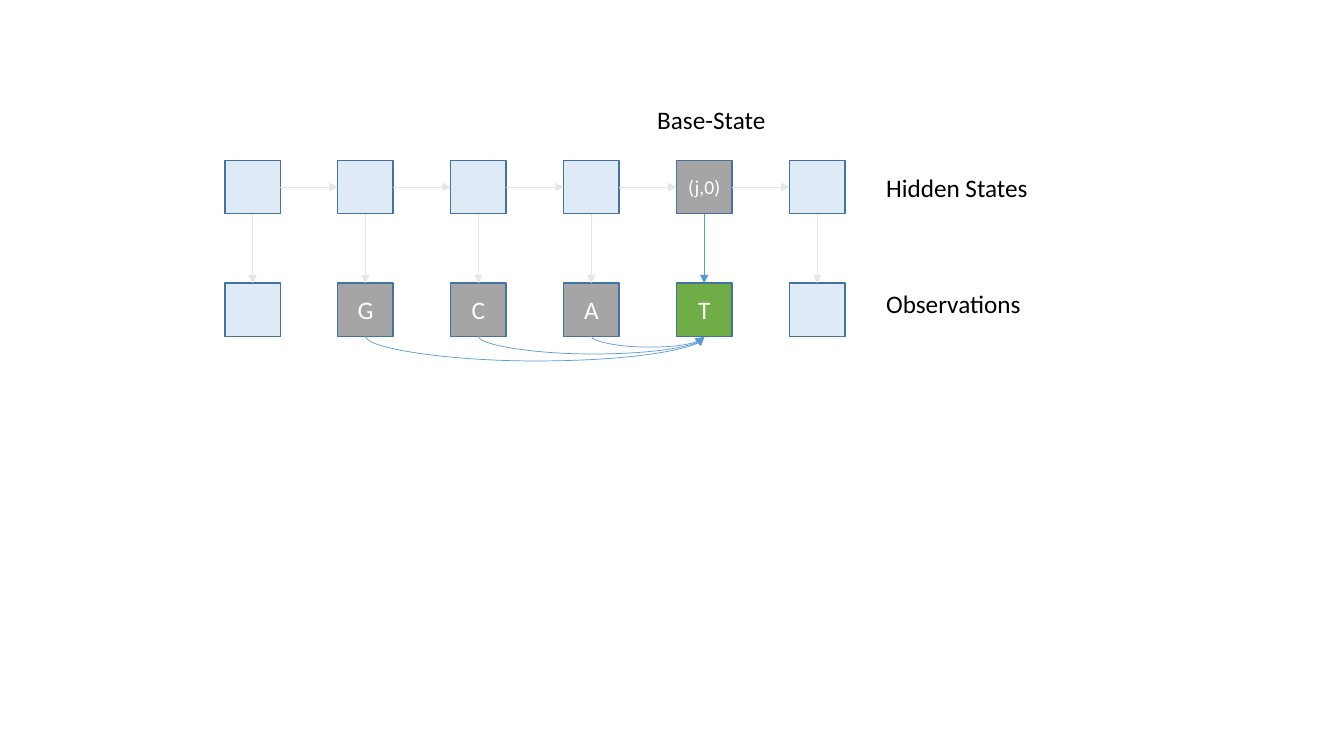
from dataclasses import dataclass

from pptx import Presentation
from pptx.dml.color import RGBColor
from pptx.enum.shapes import MSO_CONNECTOR as CONNECTOR, MSO_SHAPE as SHAPE
from pptx.enum.text import MSO_ANCHOR as ANCHOR, PP_ALIGN as ALIGN
from pptx.oxml.ns import qn
from pptx.util import Inches, Pt
from lxml.etree import SubElement


@dataclass(frozen=True)
class Theme:
    font: str = "Calibri"
    text_size: int = 18
    state_size: int = 14
    text: str = "000000"
    box_text: str = "FFFFFF"
    outline: str = "43739E"
    pale: str = "DEEBF7"
    context: str = "A5A5A5"
    current: str = "70AD47"
    faint_arrow: str = "E7E6E6"
    strong_arrow: str = "5B9BD5"


THEME = Theme()

# Grid of the two chains, in inches
LEFT, PITCH = 2.23, 1.12
HIDDEN_ROW, OBSERVED_ROW = 1.59, 2.81
BOX_WIDTH, BOX_HEIGHT = 0.55, 0.53
LABEL_WIDTH, LABEL_HEIGHT = 2.12, 0.4
CURVE_WIDTH = 0.01

# Connection sites of a rectangle
TOP, LEFT_SIDE, BOTTOM, RIGHT_SIDE = range(4)

# Text and fill of each box, by column
HIDDEN_STATES = [("", THEME.pale)] * 4 + [("(j,0)", THEME.context), ("", THEME.pale)]
OBSERVATIONS = [
    ("", THEME.pale),
    ("G", THEME.context),
    ("C", THEME.context),
    ("A", THEME.context),
    ("T", THEME.current),
    ("", THEME.pale),
]
BASE = 4
CONTEXT_COLUMNS = (1, 2, 3)


def color(code):
    return RGBColor.from_string(code)


def write(shape, text, size, code, align):
    """Put one formatted line of text into a shape."""
    shape.text_frame.text = text
    paragraph = shape.text_frame.paragraphs[0]
    paragraph.alignment = align
    for run in paragraph.runs:
        run.font.name = THEME.font
        run.font.size = Pt(size)
        run.font.color.rgb = color(code)


def add_box(slide, column, top, text, fill, size):
    box = slide.shapes.add_shape(
        SHAPE.RECTANGLE, Inches(LEFT + column * PITCH), Inches(top),
        Inches(BOX_WIDTH), Inches(BOX_HEIGHT))
    box.shadow.inherit = False
    box.fill.solid()
    box.fill.fore_color.rgb = color(fill)
    box.line.color.rgb = color(THEME.outline)
    box.line.width = Pt(1)
    box.text_frame.vertical_anchor = ANCHOR.MIDDLE
    if text:
        write(box, text, size, THEME.box_text, ALIGN.CENTER)
    return box


def add_chain(slide, top, contents, size):
    return [add_box(slide, column, top, text, fill, size)
            for column, (text, fill) in enumerate(contents)]


def add_arrow(slide, source, source_site, target, target_site, code,
              kind=CONNECTOR.STRAIGHT):
    arrow = slide.shapes.add_connector(kind, 0, 0, 0, 0)
    arrow.begin_connect(source, source_site)
    arrow.end_connect(target, target_site)
    arrow.line.color.rgb = color(code)
    arrow.line.width = Pt(0.5)
    SubElement(arrow.line._get_or_add_ln(), qn("a:tailEnd"), type="triangle")
    SubElement(arrow._element.spPr, qn("a:effectLst"))
    return arrow


def add_curve(slide, source, target, depth):
    """Join two bottom edges by an arrow that sags by depth inches."""
    curve = add_arrow(slide, source, BOTTOM, target, BOTTOM,
                      THEME.strong_arrow, CONNECTOR.CURVE)
    # A thin upright frame, turned by 270 degrees about its centre
    span = target.left - source.left
    middle = source.left + (source.width + span) // 2
    bottom = source.top + source.height
    curve.width, curve.height = Inches(CURVE_WIDTH), span
    curve.left = middle - curve.width // 2
    curve.top = bottom - span // 2
    properties = curve._element.spPr
    frame = properties.find(qn("a:xfrm"))
    frame.set("rot", str(270 * 60000))
    frame.set("flipH", "1")
    frame.set("flipV", "0")
    adjustments = properties.find(qn("a:prstGeom")).find(qn("a:avLst"))
    SubElement(adjustments, qn("a:gd"), name="adj1",
               fmla=f"val {round(depth / CURVE_WIDTH * 100000)}")


def add_label(slide, left, top, text):
    label = slide.shapes.add_textbox(
        Inches(left), Inches(top), Inches(LABEL_WIDTH), Inches(LABEL_HEIGHT))
    label.text_frame.word_wrap = True
    write(label, text, THEME.text_size, THEME.text, ALIGN.LEFT)


def main():
    presentation = Presentation()
    presentation.slide_width = Inches(13.33)
    presentation.slide_height = Inches(7.5)
    slide = presentation.slides.add_slide(presentation.slide_layouts[6])

    # Hidden states above, observations below
    hidden = add_chain(slide, HIDDEN_ROW, HIDDEN_STATES, THEME.state_size)
    observed = add_chain(slide, OBSERVED_ROW, OBSERVATIONS, THEME.text_size)

    # Transitions between states
    for state, following in zip(hidden, hidden[1:]):
        add_arrow(slide, state, RIGHT_SIDE, following, LEFT_SIDE, THEME.faint_arrow)

    # Emissions from states to observations
    for column, (state, observation) in enumerate(zip(hidden, observed)):
        code = THEME.strong_arrow if column == BASE else THEME.faint_arrow
        add_arrow(slide, state, BOTTOM, observation, TOP, code)

    # Earlier observations that the current one depends on
    for column in CONTEXT_COLUMNS:
        depth = 0.04 + 0.07 * (BASE - column)
        add_curve(slide, observed[column], observed[BASE], depth)

    # Labels
    add_label(slide, 6.42, 0.99, "Base-State")
    add_label(slide, 8.69, 1.66, "Hidden States")
    add_label(slide, 8.69, 2.81, "Observations")

    presentation.save("out.pptx")


main()
